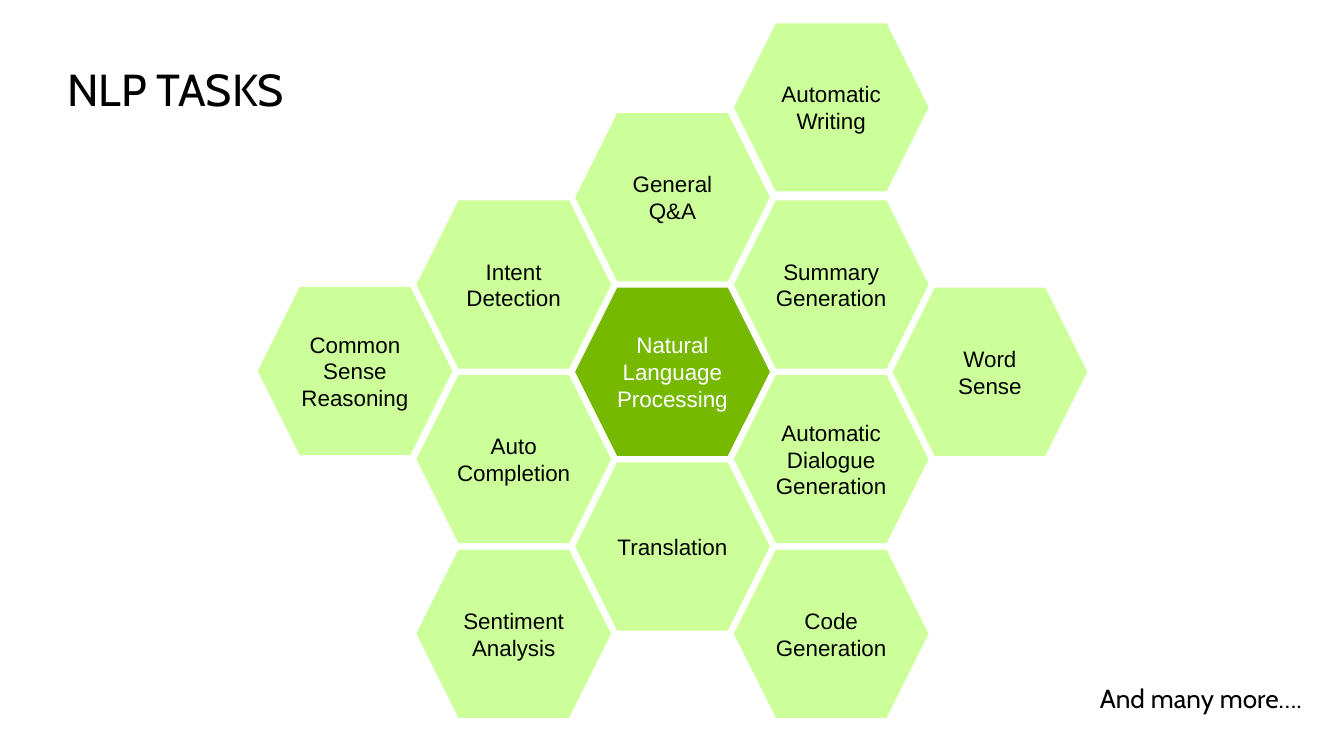
from pptx import Presentation
from pptx.dml.color import RGBColor
from pptx.enum.shapes import MSO_SHAPE
from pptx.enum.text import MSO_ANCHOR, MSO_AUTO_SIZE, PP_ALIGN
from pptx.util import Cm, Pt

HEXAGON = MSO_SHAPE.HEXAGON
MIDDLE, TOP = MSO_ANCHOR.MIDDLE, MSO_ANCHOR.TOP
CENTER, LEFT = PP_ALIGN.CENTER, PP_ALIGN.LEFT
GROW, FIXED = MSO_AUTO_SIZE.SHAPE_TO_FIT_TEXT, MSO_AUTO_SIZE.NONE

COLORS = {"core": "76B900", "task": "CCFF99", "light": "FFFFFF", "dark": "000000"}

# Honeycomb cells: (label, columns right of the core, half rows below the core)
CORE = ("Natural Language Processing", 0, 0)
TASKS = [
    ("General Q&A", 0, -2),
    ("Translation", 0, 2),
    ("Summary Generation", 1, -1),
    ("Automatic Dialogue Generation", 1, 1),
    ("Intent Detection", -1, -1),
    ("Auto Completion", -1, 1),
    ("Word Sense", 2, 0),
    ("Code Generation", 1, 3),
    ("Common Sense Reasoning", -2, -0.01),
    ("Automatic Writing", 1, -3.03),
    ("Sentiment Analysis", -1, 3),
]

# Captions: text, box in cm (left, top, width, height), size, frame format, alignment
CAPTIONS = [
    ("NLP TASKS", (1.14, 1.22, 6.58, 1.37), 24,
     {"vertical_anchor": TOP, "auto_size": FIXED}, LEFT),
    ("And many more….", (20.55, 12.9, 4.29, 0.66), 14,
     {"vertical_anchor": MIDDLE, "auto_size": GROW}, CENTER),
]

# Honeycomb measures in cm
CORE_LEFT, CORE_TOP = 10.87, 5.44
CELL_WIDTH, CELL_HEIGHT = 3.68, 3.18
COLUMN_STEP, HALF_ROW = 3.0, 1.65

INSETS = {"margin_left": Cm(0.13), "margin_right": Cm(0.13),
          "margin_top": Cm(0.06), "margin_bottom": Cm(0.06), "word_wrap": True}


def rgb(name):
    return RGBColor.from_string(COLORS[name])


def apply(target, values):
    for name, value in values.items():
        setattr(target, name, value)


def write(holder, text, frame_format, paragraph_format, font_format, color):
    frame = holder.text_frame
    apply(frame, INSETS | frame_format)
    paragraph = frame.paragraphs[0]
    apply(paragraph, paragraph_format)
    run = paragraph.add_run()
    run.text = text
    apply(run.font, font_format)
    run.font.color.rgb = rgb(color)


def add_cell(slide, label, column, half_row, fill, color):
    cell = slide.shapes.add_shape(
        HEXAGON,
        Cm(CORE_LEFT + column * COLUMN_STEP), Cm(CORE_TOP + half_row * HALF_ROW),
        Cm(CELL_WIDTH), Cm(CELL_HEIGHT))
    cell.adjustments[0] = 0.25
    cell.shadow.inherit = False
    cell.fill.solid()
    cell.fill.fore_color.rgb = rgb(fill)
    cell.line.fill.background()
    write(cell, label, {"vertical_anchor": MIDDLE}, {"alignment": CENTER},
          {"name": "Arial", "size": Pt(12)}, color)


def main():
    deck = Presentation()
    deck.slide_width, deck.slide_height = Cm(25.4), Cm(14.29)
    slide = deck.slides.add_slide(deck.slide_layouts[6])

    # Honeycomb around the core topic
    add_cell(slide, *CORE, "core", "light")
    for task in TASKS:
        add_cell(slide, *task, "task", "dark")

    # Title and closing remark
    for text, box, size, frame_format, alignment in CAPTIONS:
        caption = slide.shapes.add_textbox(*map(Cm, box))
        write(caption, text, frame_format,
              {"alignment": alignment, "line_spacing": 0.9},
              {"name": "Cabin", "size": Pt(size)}, "dark")

    deck.save("out.pptx")


if __name__ == "__main__":
    main()
